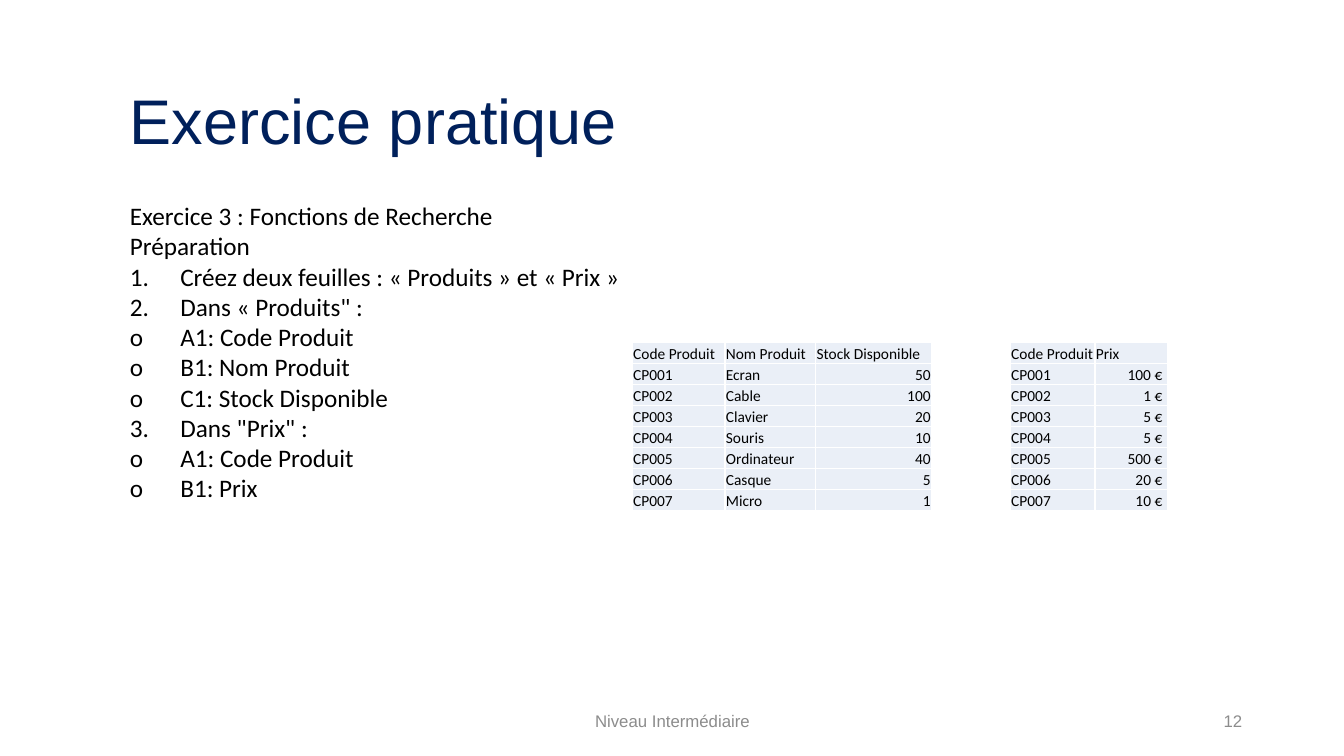
import pptx
import pptx.dml.color
import pptx.enum.text
import pptx.oxml.ns
import pptx.util
from lxml import etree

RGB = pptx.dml.color.RGBColor
NAVY = RGB(0x00, 0x20, 0x5B)
BLACK = RGB(0x00, 0x00, 0x00)
GREY = RGB(0x8C, 0x8C, 0x8C)
PALE = RGB(0xEA, 0xEF, 0xF7)
WHITE = RGB(0xFF, 0xFF, 0xFF)

ALIGN = pptx.enum.text.PP_ALIGN
ANCHOR = pptx.enum.text.MSO_ANCHOR
FIT = pptx.enum.text.MSO_AUTO_SIZE

WIDE = pptx.util.Inches(13.33)
HIGH = pptx.util.Inches(7.5)
LEFT = 8.93
FOOT = 92.67
TOP = 45.33
ROW = 2.78

STEPS = """Exercice 3 : Fonctions de Recherche
Préparation
1.\tCréez deux feuilles : « Produits » et « Prix »
2.\tDans « Produits" :
o\tA1: Code Produit
o\tB1: Nom Produit
o\tC1: Stock Disponible
3.\tDans "Prix" :
o\tA1: Code Produit
o\tB1: Prix"""

ITEMS = [
    ("Ecran", "50", "100 €"),
    ("Cable", "100", "1 €"),
    ("Clavier", "20", "5 €"),
    ("Souris", "10", "5 €"),
    ("Ordinateur", "40", "500 €"),
    ("Casque", "5", "20 €"),
    ("Micro", "1", "10 €"),
]


def across(share):
    """Length for a percentage of the slide's width."""
    return round(WIDE * share / 100)


def down(share):
    """Length for a percentage of the slide's height."""
    return round(HIGH * share / 100)


def style(frame, font, size, color, align=ALIGN.LEFT):
    for para in frame.paragraphs:
        para.alignment = align
        for run in para.runs:
            run.font.name = font
            run.font.size = pptx.util.Pt(size)
            run.font.color.rgb = color


def add_text(slide, text, x, y, w, h, font, size, color, align=ALIGN.LEFT):
    box = slide.shapes.add_textbox(across(x), down(y), across(w), down(h))
    frame = box.text_frame
    frame.word_wrap = True
    frame.text = text
    style(frame, font, size, color, align)
    return frame


def add_foot(slide, text, x, w, align):
    frame = add_text(slide, text, x, FOOT, w, 5.33, "Arial", 12, GREY, align)
    frame.vertical_anchor = ANCHOR.MIDDLE


def add_edges(cell):
    """White one-point line on every side; call before setting the fill."""
    props = cell._tc.get_or_add_tcPr()
    qn = pptx.oxml.ns.qn
    for side in ("a:lnL", "a:lnR", "a:lnT", "a:lnB"):
        line = etree.SubElement(props, qn(side), w=str(pptx.util.Pt(1)))
        fill = etree.SubElement(line, qn("a:solidFill"))
        etree.SubElement(fill, qn("a:srgbClr"), val=str(WHITE))


def fill_cell(cell, text, align, pad):
    add_edges(cell)
    cell.fill.solid()
    cell.fill.fore_color.rgb = PALE
    cell.vertical_anchor = ANCHOR.BOTTOM
    cell.margin_left = cell.margin_top = across(0.07)
    cell.margin_right = across(pad)
    cell.margin_bottom = 0
    cell.text_frame.text = text
    style(cell.text_frame, "Calibri", 11, BLACK, align)


def add_grid(slide, x, widths, rows, pad):
    """Table whose last column is right-aligned below its heading."""
    shape = slide.shapes.add_table(
        len(rows), len(widths), across(x), down(TOP),
        across(sum(widths)), down(ROW * len(rows)))
    table = shape.table
    table.first_row = table.horz_banding = False
    for col, width in zip(table.columns, widths):
        col.width = across(width)
    for r, texts in enumerate(rows):
        table.rows[r].height = down(ROW)
        for c, text in enumerate(texts):
            value = r > 0 and c == len(widths) - 1
            fill_cell(table.cell(r, c), text,
                      ALIGN.RIGHT if value else ALIGN.LEFT,
                      pad if value else 0.07)


def main():
    deck = pptx.Presentation()
    deck.slide_width, deck.slide_height = WIDE, HIGH
    slide = deck.slides.add_slide(deck.slide_layouts[6])

    title = add_text(slide, "Exercice pratique", LEFT, 10.13, 66.24, 11.47,
                     "Arial", 45, NAVY)
    body = add_text(slide, STEPS, LEFT, 25.87, 63.99, 41.73,
                    "Calibri", 18, BLACK)
    for frame in (title, body):
        frame.auto_size = FIT.SHAPE_TO_FIT_TEXT

    add_foot(slide, "12", 70.67, 22.5, ALIGN.RIGHT)
    add_foot(slide, "Niveau Intermédiaire", 33.16, 33.76, ALIGN.CENTER)

    stock = [("Code Produit", "Nom Produit", "Stock Disponible")]
    price = [("Code Produit", "Prix")]
    for n, (name, count, cost) in enumerate(ITEMS, 1):
        code = f"CP{n:03}"
        stock.append((code, name, count))
        price.append((code, cost))
    add_grid(slide, 47.04, (6.9, 6.75, 8.63), stock, 0.07)
    add_grid(slide, 75.17, (6.3, 5.4), price, 0.38)

    deck.save("out.pptx")


if __name__ == "__main__":
    main()
